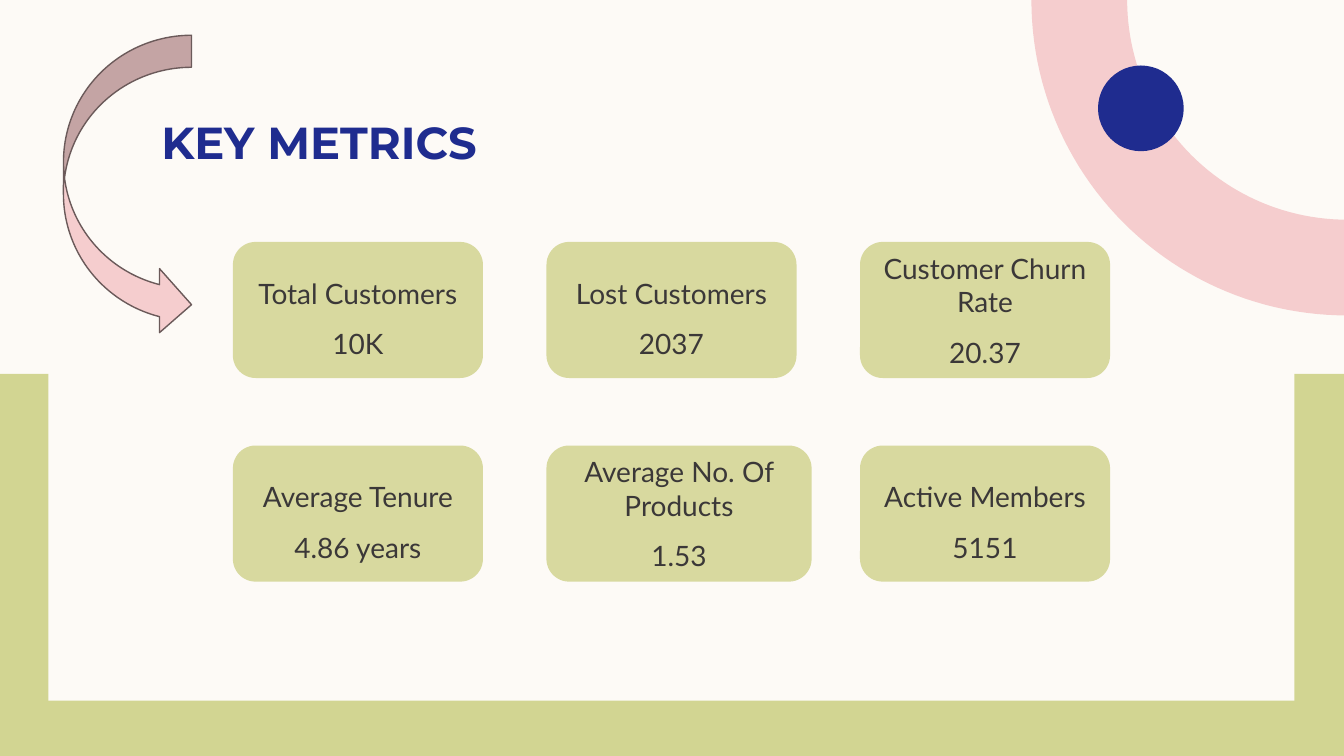
from dataclasses import dataclass
from math import cos, pi, sin

from pptx import Presentation
from pptx import util as u
from pptx.dml.color import RGBColor
from pptx.enum import shapes, text

WIDTH, HEIGHT = 13.33, 7.5
KIND = shapes.MSO_SHAPE


@dataclass
class Theme:
    cream: str = "FDFAF6"
    green: str = "D2D592"
    card: str = "D8D99F"
    pink: str = "F5CDCE"
    navy: str = "1F2C8F"
    ink: str = "3B3838"
    edge: str = "6B5A5A"
    head: str = "Montserrat"
    body: str = "Lato"
    large: int = 32
    small: int = 20


class Deck:
    def __init__(self, theme):
        self.theme = theme
        self.file = Presentation()
        self.file.slide_width = u.Inches(WIDTH)
        self.file.slide_height = u.Inches(HEIGHT)
        self.slide = self.file.slides.add_slide(self.file.slide_layouts[5])
        self.paint(self.slide.background.fill, theme.cream)

    def paint(self, fill, color):
        fill.solid()
        fill.fore_color.rgb = RGBColor.from_string(color)

    def dress(self, shape, color, edge=None):
        shape.shadow.inherit = False
        self.paint(shape.fill, color)
        if edge:
            self.paint(shape.line.fill, edge)
            shape.line.width = u.Pt(1)
        else:
            shape.line.fill.background()
        return shape

    def shape(self, kind, box, color, edge=None):
        shape = self.slide.shapes.add_shape(kind, *map(u.Inches, box))
        return self.dress(shape, color, edge)

    def style(self, para, face, size, color, bold=False):
        for run in para.runs:
            run.font.name = face
            run.font.size = u.Pt(size)
            run.font.bold = bold
            run.font.color.rgb = RGBColor.from_string(color)

    def title(self, words, box):
        title = self.slide.shapes.title
        title.element.getparent().append(title.element)
        title.left, title.top, title.width, title.height = map(u.Inches, box)
        frame = title.text_frame
        frame.text = words
        frame.word_wrap = True
        frame.auto_size = text.MSO_AUTO_SIZE.NONE
        frame.vertical_anchor = text.MSO_ANCHOR.MIDDLE
        frame.margin_top = frame.margin_bottom = 0
        para = frame.paragraphs[0]
        para.alignment = text.PP_ALIGN.LEFT
        self.style(para, self.theme.head, self.theme.large, self.theme.navy, True)

    def ring(self, x, outer, inner, color, steps=48):
        def arc(radius):
            points = []
            for step in range(steps + 1):
                turn = pi - step * pi / 2 / steps
                across = min(x + radius * cos(turn), WIDTH)
                points.append((u.Inches(across), u.Inches(radius * sin(turn))))
            return points

        points = arc(outer) + arc(inner)[::-1]
        path = self.slide.shapes.build_freeform(*points[0])
        path.add_line_segments(points[1:], close=True)
        self.dress(path.convert_to_shape(), color)

    def card(self, box, label, value, tight):
        shape = self.shape(KIND.ROUNDED_RECTANGLE, box, self.theme.card)
        frame = shape.text_frame
        frame.word_wrap = True
        frame.vertical_anchor = text.MSO_ANCHOR.MIDDLE
        frame.text = f"{label}\n{value}"
        for para, space in zip(frame.paragraphs, (1.0 if tight else 1.5, 1.5)):
            para.alignment = text.PP_ALIGN.CENTER
            para.line_spacing = space
            self.style(para, self.theme.body, self.theme.small, self.theme.ink)


def main():
    theme = Theme()
    deck = Deck(theme)
    deck.shape(KIND.RECTANGLE, (-0.03, 3.71, 13.36, 3.79), theme.green)
    deck.shape(KIND.RECTANGLE, (0.48, 0.36, 12.36, 6.59), theme.cream)
    deck.ring(13.36, 3.13, 2.18, theme.pink)
    deck.shape(KIND.OVAL, (10.89, 0.65, 0.85, 0.85), theme.navy)
    deck.title("KEY METRICS", (1.5, 0.97, 4.18, 0.87))
    deck.shape(KIND.CURVED_RIGHT_ARROW, (0.63, 0.35, 1.27, 2.99), theme.pink, theme.edge)

    wide, tall = 2.48, 1.35
    cards = [
        ("Total Customers", "10K", wide, False),
        ("Lost Customers", "2037", wide, False),
        ("Customer Churn Rate", "20.37", wide, True),
        ("Average Tenure", "4.86 years", wide, False),
        ("Average No. Of Products", "1.53", 2.63, True),
        ("Active Members", "5151", wide, False),
    ]
    for spot, (label, value, width, tight) in enumerate(cards):
        row, col = divmod(spot, 3)
        box = (2.31 + col * 3.11, 2.4 + row * 2.02, width, tall)
        deck.card(box, label, value, tight)
    deck.file.save("out.pptx")


if __name__ == "__main__":
    main()
